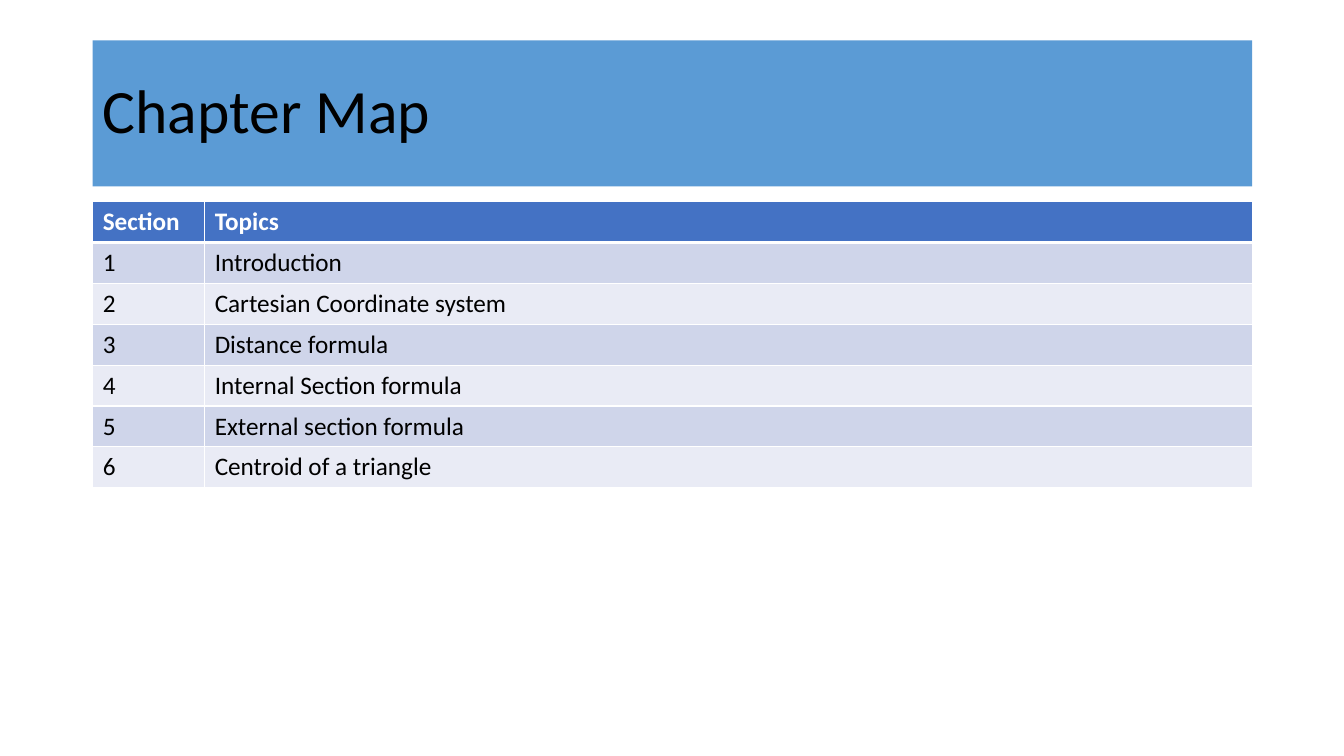
import pptx
import pptx.dml.color
import pptx.enum.shapes
import pptx.enum.text
import pptx.oxml
import pptx.oxml.ns
import pptx.util

Inches = pptx.util.Inches
Pt = pptx.util.Pt
RGBColor = pptx.dml.color.RGBColor

TITLE = "Chapter Map"
HEADINGS = ("Section", "Topics")
TOPICS = (
    "Introduction",
    "Cartesian Coordinate system",
    "Distance formula",
    "Internal Section formula",
    "External section formula",
    "Centroid of a triangle",
)

FONT = "Calibri"
BLACK = RGBColor(0x00, 0x00, 0x00)
WHITE = RGBColor(0xFF, 0xFF, 0xFF)
TITLE_BLUE = RGBColor(0x5B, 0x9B, 0xD5)
HEADER_BLUE = RGBColor(0x44, 0x72, 0xC4)
BANDS = (RGBColor(0xE9, 0xEB, 0xF5), RGBColor(0xCF, 0xD5, 0xEA))

LEFT = 0.92
COLUMN_WIDTHS = (1.11, 10.39)
WIDTH = sum(COLUMN_WIDTHS)
TITLE_TOP, TITLE_HEIGHT = 0.4, 1.45
TABLE_TOP, TABLE_HEIGHT = 2, 2.84


def write_text(text, frame, size=18, color=BLACK, bold=False, line_spacing=1.0):
    paragraph = frame.paragraphs[0]
    paragraph.alignment = pptx.enum.text.PP_ALIGN.LEFT
    paragraph.line_spacing = line_spacing
    run = paragraph.add_run()
    run.text = text
    run.font.name = FONT
    run.font.size = Pt(size)
    run.font.bold = bold
    run.font.color.rgb = color


def set_borders(cell, left=1, right=1, top=1, bottom=1):
    properties = cell._tc.get_or_add_tcPr()
    sides = (("lnL", left), ("lnR", right), ("lnT", top), ("lnB", bottom))
    for position, (tag, width) in enumerate(sides):
        line = pptx.oxml.parse_xml(
            f'<a:{tag} {pptx.oxml.ns.nsdecls("a")} w="{Pt(width)}">'
            f'<a:solidFill><a:srgbClr val="{WHITE}"/></a:solidFill></a:{tag}>'
        )
        properties.insert(position, line)


def add_title(slide):
    shape = slide.shapes.add_shape(
        pptx.enum.shapes.MSO_SHAPE.RECTANGLE,
        Inches(LEFT), Inches(TITLE_TOP), Inches(WIDTH), Inches(TITLE_HEIGHT),
    )
    shape.shadow.inherit = False
    shape.fill.solid()
    shape.fill.fore_color.rgb = TITLE_BLUE
    shape.line.fill.background()
    shape.text_frame.word_wrap = True
    shape.text_frame.vertical_anchor = pptx.enum.text.MSO_ANCHOR.MIDDLE
    write_text(TITLE, shape.text_frame, size=44, line_spacing=0.9)


def add_topic_table(slide):
    rows = [HEADINGS] + [(str(number), topic) for number, topic in enumerate(TOPICS, 1)]
    table = slide.shapes.add_table(
        len(rows), len(HEADINGS),
        Inches(LEFT), Inches(TABLE_TOP), Inches(WIDTH), Inches(TABLE_HEIGHT),
    ).table
    for column, width in zip(table.columns, COLUMN_WIDTHS):
        column.width = Inches(width)
    for row_index, row in enumerate(rows):
        header = row_index == 0
        for column_index, text in enumerate(row):
            cell = table.cell(row_index, column_index)
            cell.fill.solid()
            cell.fill.fore_color.rgb = HEADER_BLUE if header else BANDS[row_index % 2]
            set_borders(cell, top=3 if row_index == 1 else 1, bottom=3 if header else 1)
            write_text(text, cell.text_frame, color=WHITE if header else BLACK, bold=header)


def main():
    presentation = pptx.Presentation()
    presentation.slide_width = Inches(13.33)
    presentation.slide_height = Inches(7.5)
    slide = presentation.slides.add_slide(presentation.slide_layouts[6])
    add_title(slide)
    add_topic_table(slide)
    presentation.save("out.pptx")


if __name__ == "__main__":
    main()
